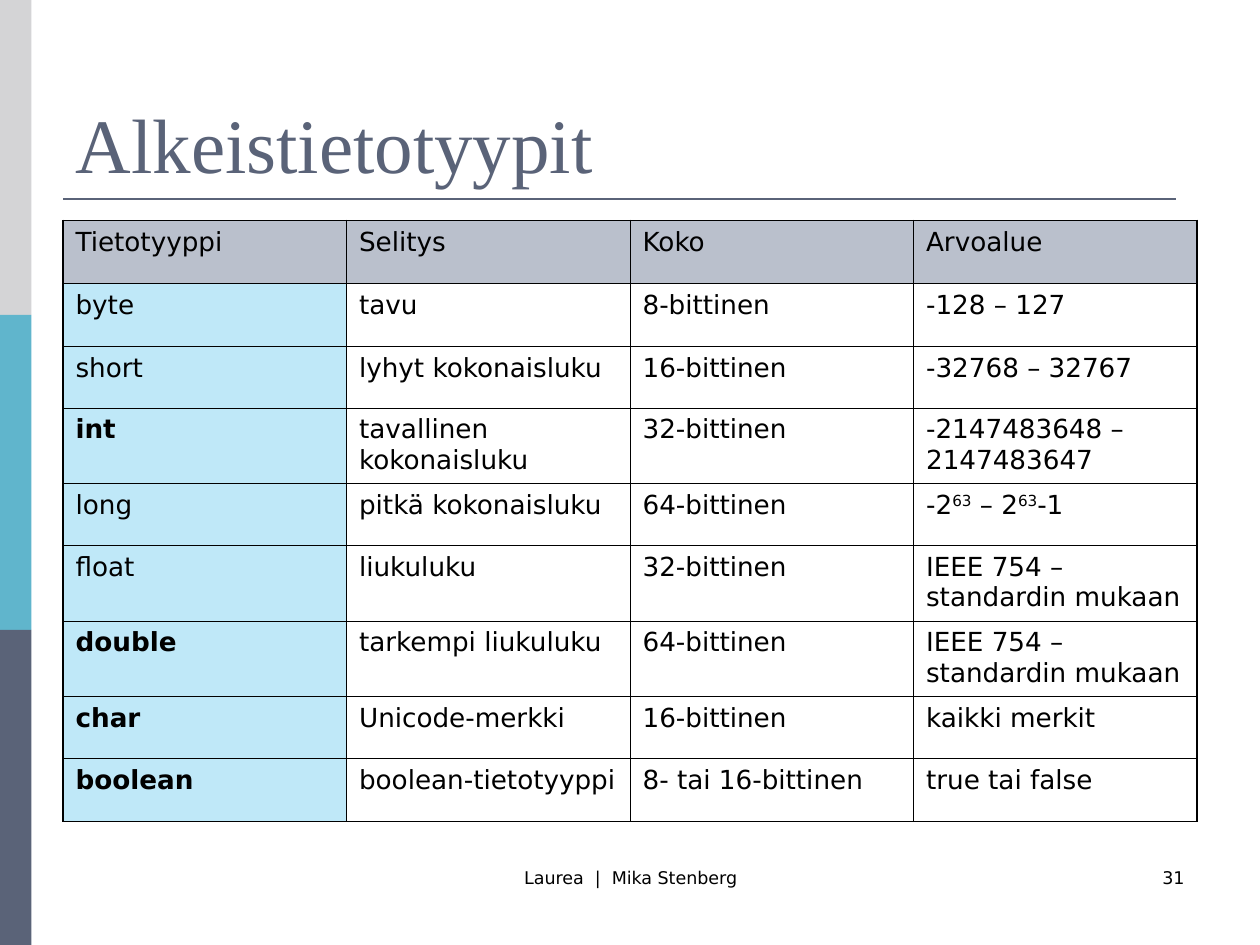
"""Build a slide that tabulates the primitive data types of Java."""
from typing import NamedTuple

from lxml import etree
from pptx import Presentation
from pptx.dml.color import RGBColor
from pptx.enum.shapes import MSO_CONNECTOR, MSO_SHAPE
from pptx.enum.text import MSO_ANCHOR, MSO_AUTO_SIZE, PP_ALIGN
from pptx.oxml.ns import qn
from pptx.util import Inches, Pt

LEFT, CENTER, RIGHT = PP_ALIGN.LEFT, PP_ALIGN.CENTER, PP_ALIGN.RIGHT
BOTTOM = MSO_ANCHOR.BOTTOM
NO_AUTOFIT = MSO_AUTO_SIZE.NONE
RECT, STRAIGHT = MSO_SHAPE.RECTANGLE, MSO_CONNECTOR.STRAIGHT

COLORS = {
    "slate": "5A6378",
    "teal": "60B5CC",
    "gray": "D4D4D6",
    "header": "BAC0CC",
    "type": "BFE8F8",
    "black": "000000",
}
BODY_FONT, TITLE_FONT = "DejaVu Sans", "Times New Roman"
BAND_W, BAND_H = 0.25, 2.5
COL_W = 2.25
OUTER, INNER = 1.08, 0.45


class FooterItem(NamedTuple):
    text: str
    left: float
    width: float
    align: PP_ALIGN


class TypeRow(NamedTuple):
    name: str
    meaning: str
    size: str
    values: str
    height: float = 0.49
    bold: bool = False


FOOTER = [
    FooterItem("Laurea  |  Mika Stenberg", 3.42, 3.17, CENTER),
    FooterItem("31", 7.17, 2.33, RIGHT),
]
ROWS = [
    TypeRow("Tietotyyppi", "Selitys", "Koko", "Arvoalue", 0.5),
    TypeRow("byte", "tavu", "8-bittinen", "-128 – 127", 0.5),
    TypeRow("short", "lyhyt kokonaisluku", "16-bittinen", "-32768 – 32767"),
    TypeRow("int", "tavallinen kokonaisluku", "32-bittinen",
            "-2147483648 – 2147483647", 0.6, True),
    TypeRow("long", "pitkä kokonaisluku", "64-bittinen", "-2^63^ – 2^63^-1"),
    TypeRow("float", "liukuluku", "32-bittinen", "IEEE 754 –standardin mukaan", 0.6),
    TypeRow("double", "tarkempi liukuluku", "64-bittinen",
            "IEEE 754 –standardin mukaan", 0.6, True),
    TypeRow("char", "Unicode-merkki", "16-bittinen", "kaikki merkit", bold=True),
    TypeRow("boolean", "boolean-tietotyyppi", "8- tai 16-bittinen",
            "true tai false", 0.5, True),
]


def rgb(name: str) -> RGBColor:
    return RGBColor.from_string(COLORS[name])


def style(p, font: str, size: float, color: str, bold: bool = False) -> None:
    p.font.name = font
    p.font.size = Pt(size)
    p.font.color.rgb = rgb(color)
    p.font.bold = bold


def add_band(s, index: int, color: str) -> None:
    sp = s.shapes.add_shape(RECT, 0, Inches(index * BAND_H), Inches(BAND_W), Inches(BAND_H))
    sp.shadow.inherit = False
    sp.fill.solid()
    sp.fill.fore_color.rgb = rgb(color)
    sp.line.fill.background()


def add_rule(s) -> None:
    line = s.shapes.add_connector(STRAIGHT, Inches(0.5), Inches(1.58), Inches(9.33), Inches(1.58))
    line.line.color.rgb = rgb("slate")
    line.line.width = Pt(1.5)
    etree.SubElement(line._element.spPr, qn("a:effectLst"))


def set_title(s, text: str) -> None:
    sp = s.shapes.title
    sp.left, sp.top, sp.width, sp.height = Inches(0.5), Inches(0.3), Inches(9), Inches(1.25)
    tf = sp.text_frame
    tf.text = text
    tf.auto_size = NO_AUTOFIT
    tf.vertical_anchor = BOTTOM
    p = tf.paragraphs[0]
    p.alignment = LEFT
    style(p, TITLE_FONT, 44, "slate")


def add_footer(s, item: FooterItem) -> None:
    sp = s.shapes.add_textbox(Inches(item.left), Inches(6.83), Inches(item.width), Inches(0.5))
    tf = sp.text_frame
    tf.word_wrap = True
    tf.text = item.text
    p = tf.paragraphs[0]
    p.alignment = item.align
    style(p, BODY_FONT, 10, "black")


def set_borders(cell, widths: dict[str, float]) -> None:
    tc_pr = cell._tc.get_or_add_tcPr()
    for side, width in widths.items():
        ln = etree.SubElement(tc_pr, qn(f"a:ln{side}"), w=str(Pt(width)))
        fill = etree.SubElement(ln, qn("a:solidFill"))
        etree.SubElement(fill, qn("a:srgbClr"), val=COLORS["black"])


def fill_cell(cell, text: str, bold: bool, color: str | None) -> None:
    if color:
        cell.fill.solid()
        cell.fill.fore_color.rgb = rgb(color)
    else:
        cell.fill.background()
    p = cell.text_frame.paragraphs[0]
    style(p, BODY_FONT, 15, "black", bold)
    for i, part in enumerate(text.split("^")):
        r = p.add_run()
        r.text = part
        if i % 2:
            r._r.get_or_add_rPr().set("baseline", "30000")


def add_type_table(s, rows: list[TypeRow]) -> None:
    cols = 4
    height = sum(row.height for row in rows)
    table = s.shapes.add_table(len(rows), cols, Inches(0.5), Inches(1.75),
                               Inches(cols * COL_W), Inches(height)).table
    table.first_row = table.horz_banding = False
    for col in table.columns:
        col.width = Inches(COL_W)
    for i, row in enumerate(rows):
        table.rows[i].height = Inches(row.height)
        for j, text in enumerate((row.name, row.meaning, row.size, row.values)):
            cell = table.cell(i, j)
            set_borders(cell, {
                "L": OUTER if j == 0 else INNER,
                "R": OUTER if j == cols - 1 else INNER,
                "T": OUTER if i == 0 else INNER,
                "B": OUTER if i == len(rows) - 1 else INNER,
            })
            color = "header" if i == 0 else "type" if j == 0 else None
            fill_cell(cell, text, row.bold and j == 0, color)


def main() -> None:
    prs = Presentation()
    prs.slide_width, prs.slide_height = Inches(10), Inches(7.5)
    s = prs.slides.add_slide(prs.slide_layouts[5])
    for i, color in enumerate(("gray", "teal", "slate")):
        add_band(s, i, color)
    add_rule(s)
    set_title(s, "Alkeistietotyypit")
    add_type_table(s, ROWS)
    for item in FOOTER:
        add_footer(s, item)
    prs.save("out.pptx")


if __name__ == "__main__":
    main()
